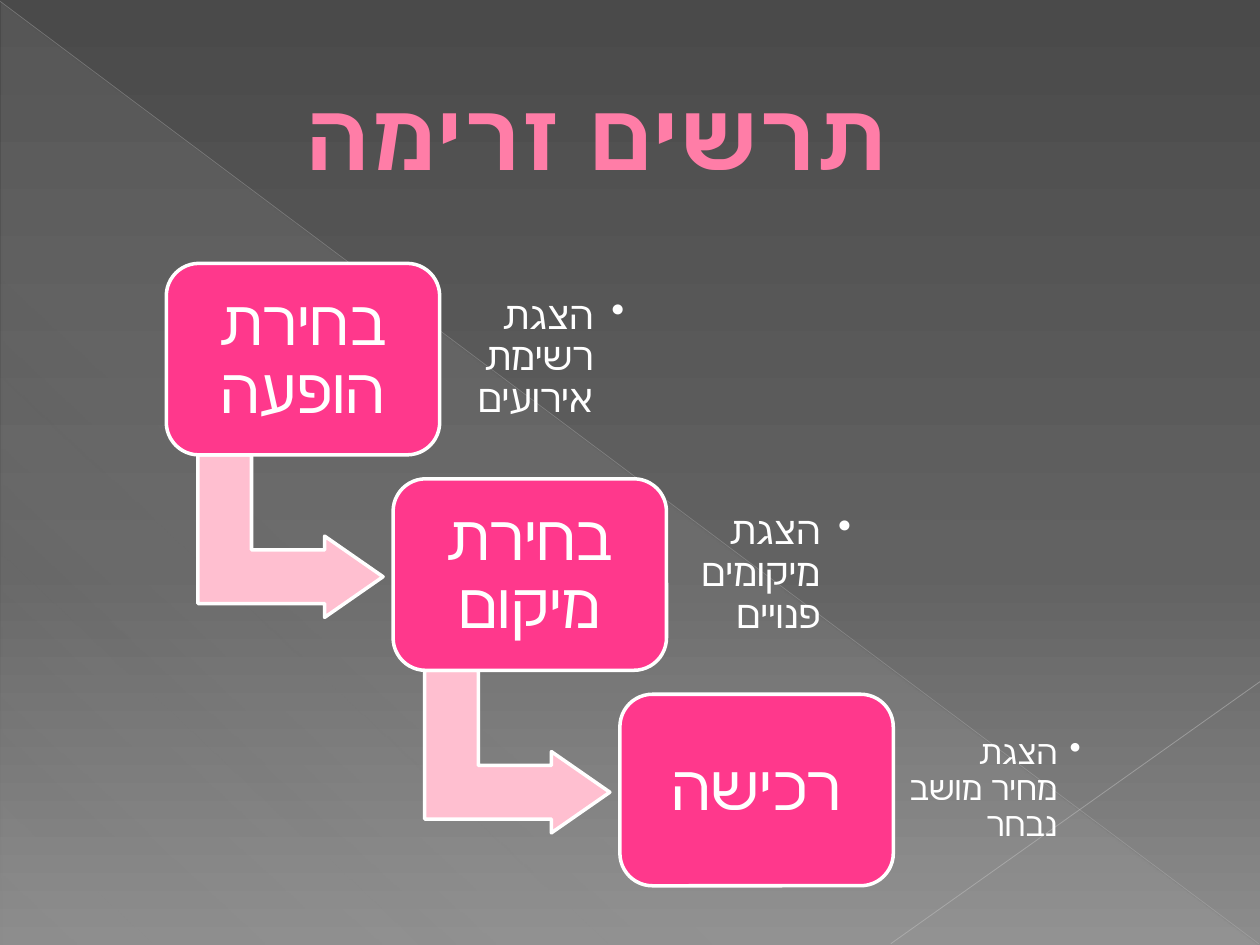
from collections import namedtuple

from lxml.etree import SubElement
from pptx import Presentation
from pptx.dml.color import RGBColor
from pptx.enum.shapes import MSO_CONNECTOR as Connector, MSO_SHAPE as Shape
from pptx.enum.text import MSO_ANCHOR as Anchor, PP_ALIGN as Align
from pptx.oxml.ns import qn
from pptx.util import Inches, Pt

COLUMNS, ROWS = 100, 75
FONT = "TeX Gyre Adventor"
WHITE = RGBColor(0xFF, 0xFF, 0xFF)
PINK = RGBColor(0xFF, 0x38, 0x8C)
PALE_PINK = RGBColor(0xFF, 0xBF, 0xD0)
TITLE_PINK = RGBColor(0xFF, 0x7D, 0xA7)
TITLE_EDGE = RGBColor(0xB1, 0x27, 0x61)
HAZE = RGBColor(0xD2, 0xD2, 0xD2)
DIAGONAL = RGBColor(0xBF, 0xBF, 0xBF)
CORNER = RGBColor(0xC6, 0xC6, 0xC6)
DARK, MIDDLE, LIGHT = (RGBColor(v, v, v) for v in (0x4A, 0x62, 0x8C))

STEPS = [
    ("בחירת הופעה", "הצגת רשימת אירועים", 22, 0.25),
    ("בחירת מיקום", "הצגת מיקומים פנויים", 22, 0.25),
    ("רכישה", "הצגת מחיר מושב נבחר", 19, 0.19),
]

Box = namedtuple("Box", "x y w h")


def units(*counts):
    """Turn grid columns or rows into slide lengths."""
    return [Inches(count / 10) for count in counts]


def inside(box, x, y, w, h):
    """Return a box offset from the corner of another."""
    return Box(box.x + x, box.y + y, w, h)


def add_color(parent, color, opacity=100):
    """Append a colour element with an opacity in percent."""
    tint = SubElement(parent, qn("a:srgbClr"), val=str(color))
    if opacity < 100:
        SubElement(tint, qn("a:alpha"), val=str(opacity * 1000))


def set_gradient(fill, owner, angle, stops):
    """Fill with a linear gradient turned clockwise by angle."""
    fill.gradient()
    fill.gradient_angle = 360 - angle
    stop_list = owner.xpath(".//a:gsLst")[0]
    for old in list(stop_list):
        stop_list.remove(old)
    for position, color, opacity in stops:
        stop = SubElement(stop_list, qn("a:gs"), pos=str(position * 1000))
        add_color(stop, color, opacity)


def write(shape, text, size, color=WHITE, bold=False, align=Align.CENTER,
          inset=None, hang=None, margin=0, spacing=None, after=0, edge=None):
    """Write one right-to-left paragraph in a shape."""
    frame = shape.text_frame
    frame.word_wrap = True
    frame.vertical_anchor = Anchor.MIDDLE
    if inset is not None:
        frame.margin_left = frame.margin_right = Inches(inset)
        frame.margin_top = frame.margin_bottom = Inches(inset)
    paragraph = frame.paragraphs[0]
    paragraph.alignment = align
    props = paragraph._p.get_or_add_pPr()
    props.set("rtl", "1")
    props.set("marL", str(Inches(hang or margin)))
    props.set("indent", str(-Inches(hang or 0)))
    if spacing:
        paragraph.line_spacing = spacing
    if after:
        space = SubElement(props, qn("a:spcAft"))
        SubElement(space, qn("a:spcPct"), val=str(after * 1000))
    if hang:
        SubElement(props, qn("a:buChar"), char="•")
    run = paragraph.add_run()
    run.text = text
    font = run.font
    font.size, font.bold, font.name = Pt(size), bold, FONT
    font.color.rgb = color
    SubElement(run._r.rPr, qn("a:cs"), typeface=FONT)
    if edge:
        outline = SubElement(run._r.rPr, qn("a:ln"), w=str(Pt(0.5)))
        add_color(SubElement(outline, qn("a:solidFill")), edge)
        run._r.rPr.insert(0, outline)


def add_block(slide, kind, box, fill, adjustments):
    """Add a white-edged preset shape."""
    block = slide.shapes.add_shape(kind, *units(*box))
    block.shadow.inherit = False
    block.fill.solid()
    block.fill.fore_color.rgb = fill
    block.line.color.rgb = WHITE
    block.line.width = Pt(2)
    for index, value in enumerate(adjustments):
        block.adjustments[index] = value
    return block


def add_ray(slide, ends, color, width, opacity):
    """Add a thin translucent line between two grid points."""
    ray = slide.shapes.add_connector(Connector.STRAIGHT, *units(*ends))
    ray.line.color.rgb = color
    ray.line.width = Pt(width)
    tint = ray.line._ln.xpath(".//a:srgbClr")[0]
    SubElement(tint, qn("a:alpha"), val=str(opacity * 1000))
    SubElement(ray._element.spPr, qn("a:effectLst"))


def add_backdrop(slide, box):
    """Draw the grey gradient, the haze triangle and the rays."""
    set_gradient(slide.background.fill, slide.element, 90,
                 [(0, DARK, 100), (60, MIDDLE, 100), (100, LIGHT, 100)])
    haze = slide.shapes.add_shape(
        Shape.RIGHT_TRIANGLE, *units(*inside(box, 0.1, 0.2, box.w - 0.2, box.h - 0.2)))
    haze.shadow.inherit = False
    haze.line.fill.background()
    set_gradient(haze.fill, haze._element, 133,
                 [(0, HAZE, 10), (70, HAZE, 8), (100, HAZE, 1)])
    right, bottom = box.x + box.w, box.y + box.h - 0.1
    add_ray(slide, (box.x, box.y + 0.1, right - 0.1, bottom), DIAGONAL, 0.39, 35)
    add_ray(slide, (right, box.y + 54.1, box.x + 70.7, bottom), CORNER, 0.47, 45)


def add_title(slide, box, text):
    """Place and format the title above the backdrop."""
    title = slide.shapes.title
    slide.shapes._spTree.append(title._element)
    title.left, title.top, title.width, title.height = units(*box)
    write(title, text, 54, TITLE_PINK, bold=True, margin=0.53, edge=TITLE_EDGE)


def add_step(slide, box, name, detail, size, hang, leads_on):
    """Draw a step, its detail and the arrow to the next step."""
    if leads_on:
        arrow = add_block(slide, Shape.BENT_UP_ARROW, inside(box, 3.4, 14.3, 12.9, 14.7),
                          PALE_PINK, (0.33, 0.25, 0.36))
        arrow.rotation = 90
    node = add_block(slide, Shape.ROUNDED_RECTANGLE, inside(box, 0, 0, 21.7, box.h),
                     PINK, (0.17,))
    write(node, name, 36, inset=0.15, spacing=0.9, after=35)
    note = slide.shapes.add_textbox(*units(*inside(box, 21.8, 1.4, box.w - 21.8, 12.3)))
    write(note, detail, size, align=Align.RIGHT, inset=0.12 if size > 20 else 0.1,
          hang=hang, spacing=0.9, after=15)


def add_process(slide, box, steps):
    """Lay the steps out as a descending staircase."""
    width, height = 37.6, 15.2
    gaps = len(steps) - 1
    across, down = (box.w - width) / gaps, (box.h - height) / gaps
    for index, step in enumerate(steps):
        add_step(slide, inside(box, index * across, index * down, width, height),
                 *step, leads_on=index < gaps)


def main():
    """Build and save the slide."""
    deck = Presentation()
    deck.slide_width, deck.slide_height = units(COLUMNS, ROWS)
    slide = deck.slides.add_slide(deck.slide_layouts[5])
    add_backdrop(slide, Box(0, 0, COLUMNS, ROWS))
    add_title(slide, Box(5, 2.9, 90, 15.3), "תרשים זרימה")
    add_process(slide, Box(13.2, 20.9, 73.6, 49.4), STEPS)
    deck.save("out.pptx")


if __name__ == "__main__":
    main()
